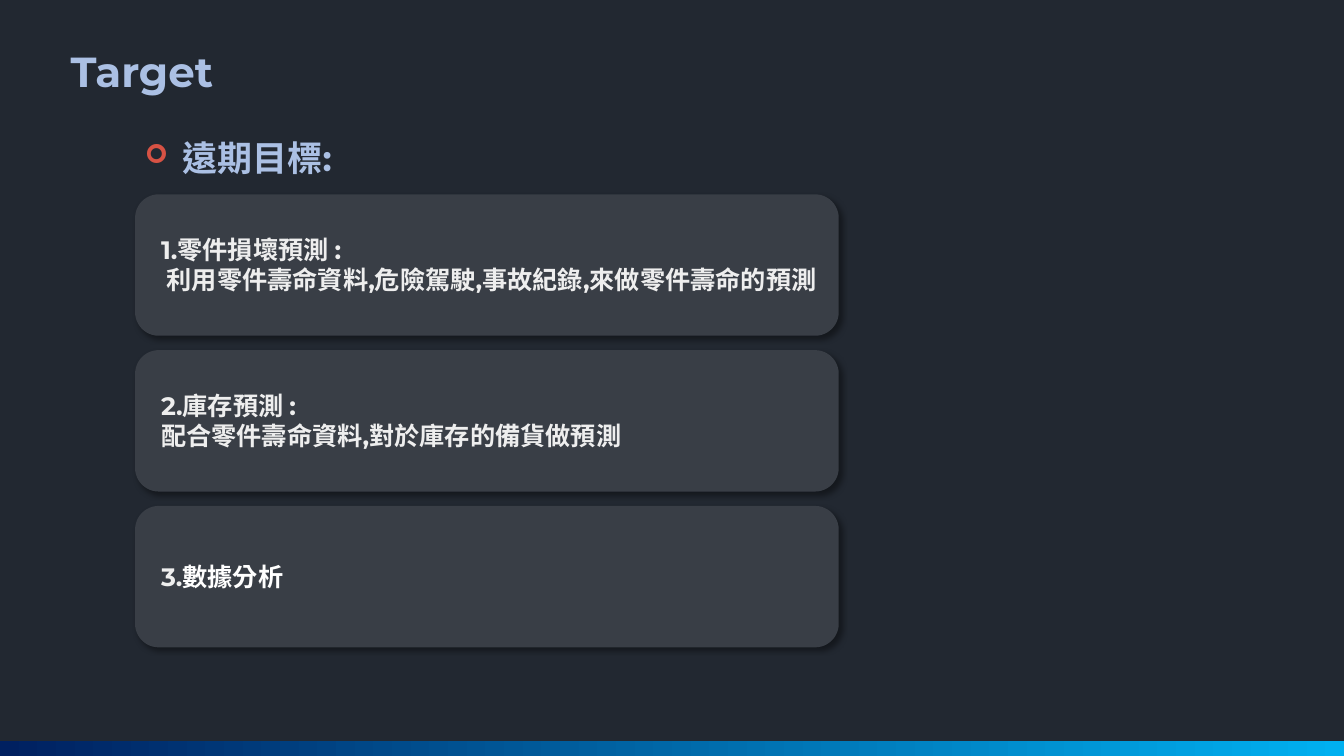
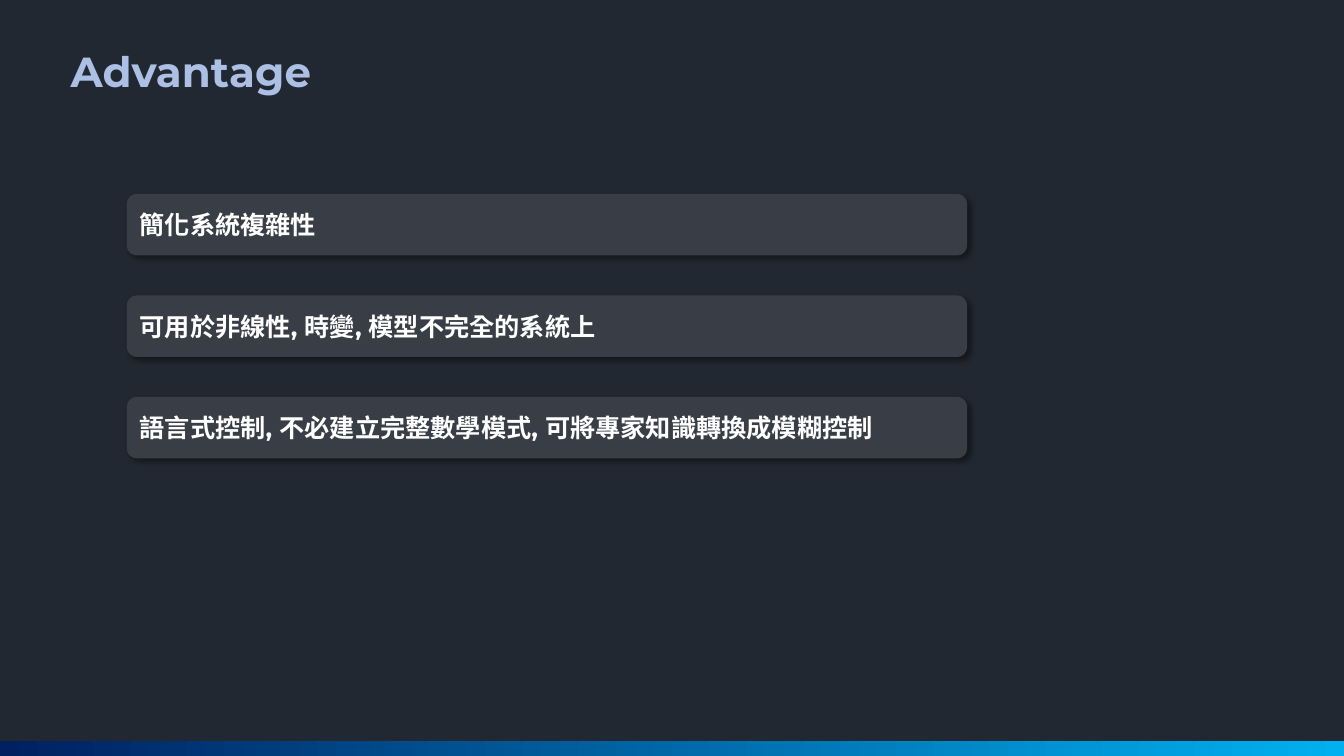
from lxml.etree import SubElement
from pptx import Presentation
from pptx.dml.color import RGBColor
from pptx.enum.lang import MSO_LANGUAGE_ID
from pptx.enum.shapes import MSO_SHAPE
from pptx.enum.text import MSO_ANCHOR, MSO_AUTO_SIZE, PP_ALIGN
from pptx.oxml import parse_xml
from pptx.oxml.ns import nsdecls, qn
from pptx.util import Pt

WIDTH, HEIGHT = 960, 540
BAND_HEIGHT = 10.8
BACKGROUND, CARD, HEADING, TEXT, WHITE = "222831", "393E46", "ABC0E4", "EEEEEE", "FFFFFF"
BAND_START, BAND_END, BULLET = "002060", "00B0F0", "D75244"
FONT, PLAIN_FONT = "Montserrat", "Calibri"

SHADOW = (
    f'<a:effectLst {nsdecls("a")}><a:outerShdw blurRad="{Pt(4)}" dist="{Pt(3)}" '
    'dir="2700000" algn="tl" rotWithShape="0"><a:srgbClr val="000000">'
    '<a:alpha val="40000"/></a:srgbClr></a:outerShdw></a:effectLst>'
)


def color(hex_value):
    return RGBColor.from_string(hex_value)


def points(*lengths):
    return [Pt(length) for length in lengths]


def add_run(paragraph, text, size, hex_color, font_name=FONT):
    run = paragraph.add_run()
    run.text = text
    font = run.font
    font.name, font.size, font.bold = font_name, Pt(size), True
    font.color.rgb = color(hex_color)
    font.language_id = MSO_LANGUAGE_ID.TRADITIONAL_CHINESE


def prepare_frame(shape, anchor=MSO_ANCHOR.TOP):
    """Set a wrapping, left-aligned frame and return it."""
    frame = shape.text_frame
    frame.word_wrap = True
    frame.auto_size = MSO_AUTO_SIZE.NONE
    frame.vertical_anchor = anchor
    frame.margin_left = frame.margin_right = Pt(7.2)
    frame.margin_top = frame.margin_bottom = Pt(3.6)
    frame.paragraphs[0].alignment = PP_ALIGN.LEFT
    return frame


def add_band(slide):
    band = slide.shapes.add_shape(
        MSO_SHAPE.RECTANGLE, *points(0, HEIGHT - BAND_HEIGHT, WIDTH, BAND_HEIGHT))
    band.shadow.inherit = False
    band.line.fill.background()
    band.fill.gradient()
    band.fill.gradient_angle = 0
    for stop, hex_value in zip(band.fill.gradient_stops, (BAND_START, BAND_END)):
        stop.color.rgb = color(hex_value)


def add_titled_slide(presentation, text):
    slide = presentation.slides.add_slide(presentation.slide_layouts[5])
    add_band(slide)
    title = slide.shapes.title
    title.left, title.top, title.width, title.height = points(43.2, 28.8, 200, 44)
    add_run(prepare_frame(title).paragraphs[0], text, 30, HEADING)
    return slide


def add_subtitle(slide, text, left, top):
    box = slide.shapes.add_textbox(*points(left, top, 180, 37.4))
    paragraph = prepare_frame(box).paragraphs[0]
    properties = paragraph._p.get_or_add_pPr()
    properties.set("marL", str(Pt(27)))
    properties.set("indent", str(-Pt(27)))
    SubElement(SubElement(properties, qn("a:buClr")), qn("a:srgbClr"), val=BULLET)
    SubElement(properties, qn("a:buSzPct"), val="75000")
    SubElement(properties, qn("a:buFont"), typeface="Wingdings")
    SubElement(properties, qn("a:buChar"), char="➢")
    add_run(paragraph, text, 25, HEADING)


def add_card(shapes, left, top, width, height):
    card = shapes.add_shape(
        MSO_SHAPE.ROUNDED_RECTANGLE, *points(left, top, width, height))
    card.fill.solid()
    card.fill.fore_color.rgb = color(CARD)
    card.line.fill.background()
    card._element.spPr.append(parse_xml(SHADOW))
    return card


def add_goal(slide, left, top, width, height, goal):
    """Add a card whose text box is inset from the card's top left corner."""
    text_top, text_width, text_height, lines = goal
    shapes = slide.shapes.add_group_shape().shapes
    add_card(shapes, left, top, width, height)
    box = shapes.add_textbox(
        *points(left + 11.5, top + text_top, text_width, text_height))
    frame = prepare_frame(box)
    for index, (indent, runs) in enumerate(lines):
        paragraph = frame.add_paragraph() if index else frame.paragraphs[0]
        paragraph._p.get_or_add_pPr().set("indent", str(Pt(indent)))
        for text, hex_color, font_name in runs:
            add_run(paragraph, text, 18, hex_color, font_name)


def build_target(presentation):
    slide = add_titled_slide(presentation, "Target")
    add_subtitle(slide, "遠期目標:", 96.5, 93.6)
    goals = [
        (24.8, 491, 51, [
            (0, [("1.零件損壞預測 :", TEXT, FONT)]),
            (4, [("利用零件壽命資料,危險駕駛,事故紀錄,來做零件壽命的預測", TEXT, FONT)])]),
        (24.8, 347.8, 51, [
            (0, [("2.庫存預測 :", TEXT, FONT)]),
            (0, [("配合零件壽命資料,對於庫存的備貨做預測", TEXT, FONT)])]),
        (36, 313, 29, [
            (0, [("3.", TEXT, FONT), ("數據分析", WHITE, PLAIN_FONT)])]),
    ]
    for index, goal in enumerate(goals):
        add_goal(slide, 96.5, 138.8 + index * 111.3, 502.6, 101, goal)


def build_advantage(presentation):
    slide = add_titled_slide(presentation, "Advantage")
    advantages = [
        "簡化系統複雜性",
        "可用於非線性, 時變, 模型不完全的系統上",
        "語言式控制, 不必建立完整數學模式, 可將專家知識轉換成模糊控制",
    ]
    shapes = slide.shapes.add_group_shape().shapes
    for index, text in enumerate(advantages):
        card = add_card(shapes, 90.6, 138.5 + index * 72.5, 600.2, 44)
        frame = prepare_frame(card, MSO_ANCHOR.MIDDLE)
        add_run(frame.paragraphs[0], text, 18, WHITE)


def main():
    presentation = Presentation()
    presentation.slide_width, presentation.slide_height = points(WIDTH, HEIGHT)
    background = presentation.slide_master.background.fill
    background.solid()
    background.fore_color.rgb = color(BACKGROUND)
    build_target(presentation)
    build_advantage(presentation)
    presentation.save("out.pptx")


if __name__ == "__main__":
    main()
